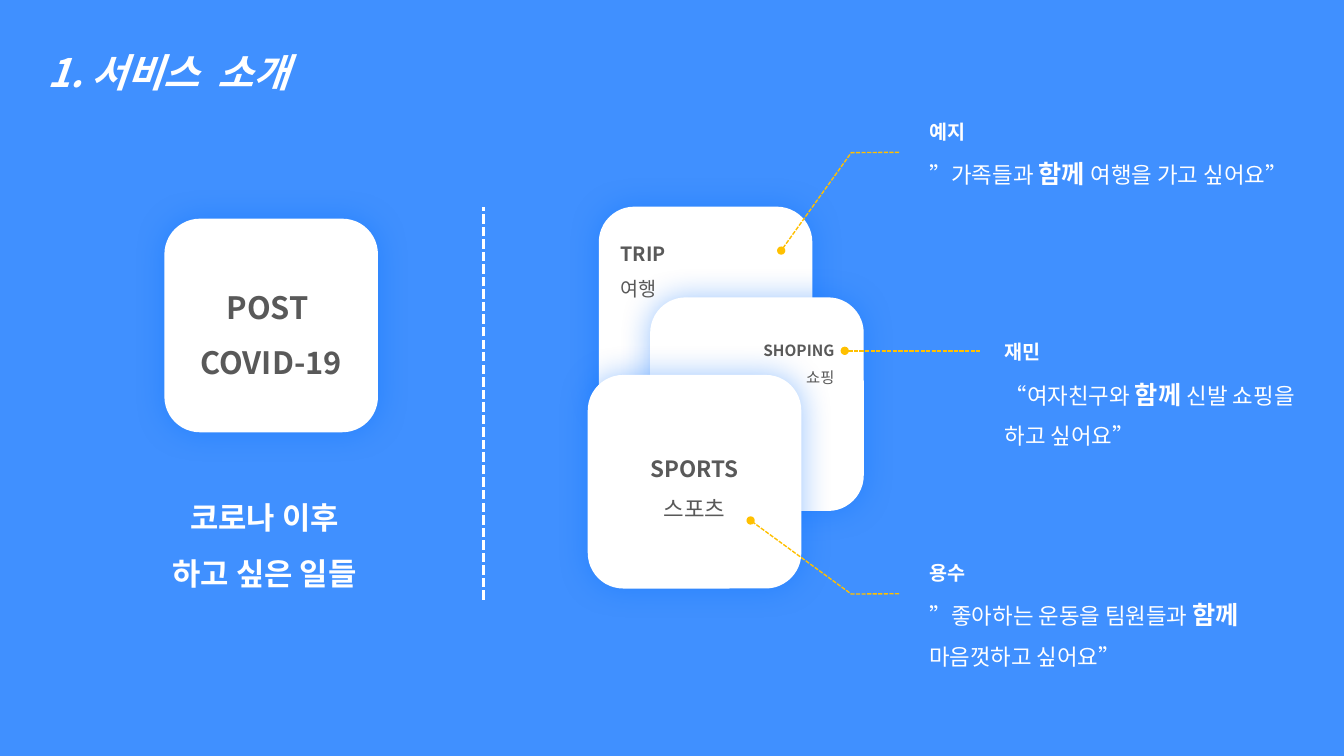
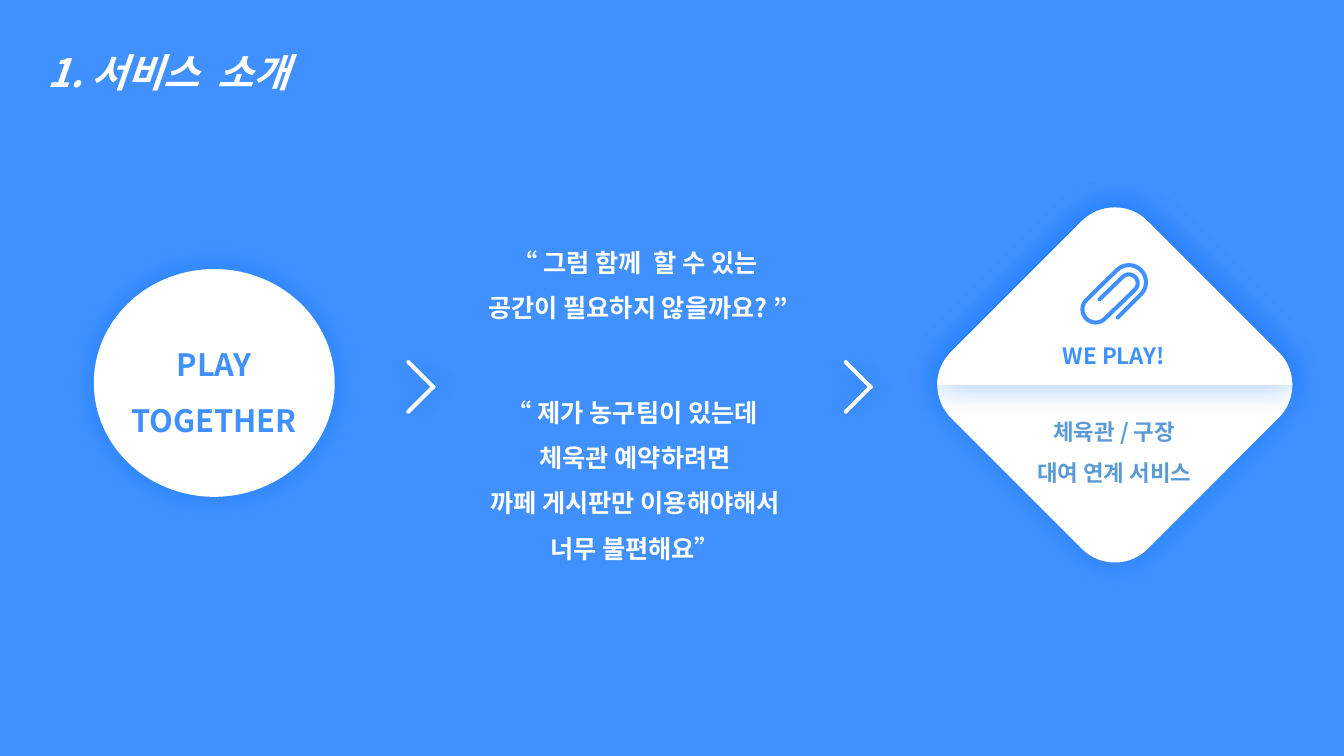
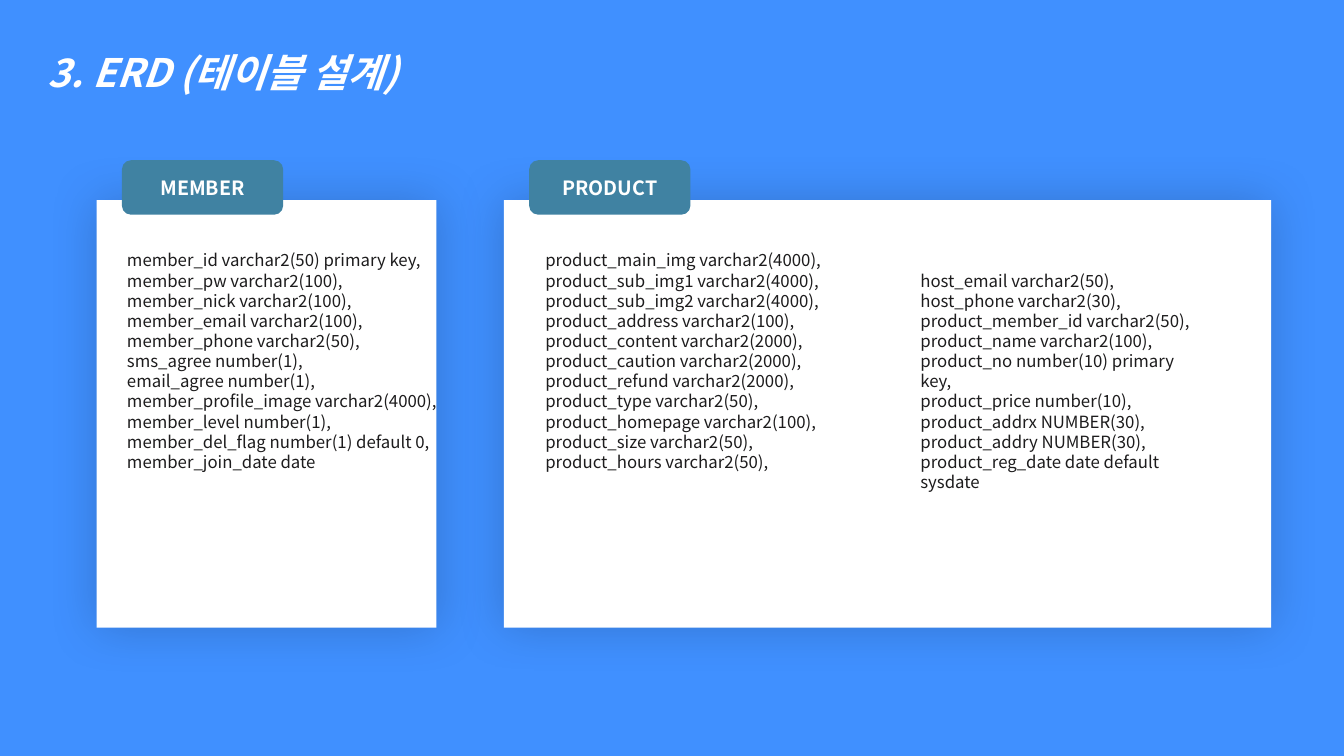
"""Build three slides that introduce a sports venue service and its table design."""
from dataclasses import dataclass
from math import cos, radians, sin

from lxml.etree import SubElement
from pptx import Presentation
from pptx.dml.color import RGBColor
from pptx.enum.dml import MSO_LINE
from pptx.enum.shapes import MSO_CONNECTOR, MSO_SHAPE
from pptx.enum.text import MSO_ANCHOR, MSO_AUTO_SIZE, PP_ALIGN
from pptx.oxml.ns import qn
from pptx.util import Pt


@dataclass(frozen=True)
class Theme:
    """Colours, type sizes and shadows shared by the slides."""
    font: str = "Noto Sans CJK KR"
    blue: str = "4090FF"
    white: str = "FFFFFF"
    gray: str = "595959"
    pale_blue: str = "5B9BD5"
    teal: str = "4082A2"
    ink: str = "1D1C1D"
    amber: str = "FFC000"
    title: int = 28
    heading: int = 22
    statement: int = 18
    body: int = 16
    label: int = 14
    field: int = 12
    small: int = 11
    glow: tuple = ("006DFE", 40, 23)
    shade: tuple = ("000000", 18, 35)


THEME = Theme()
TITLE_BOX = (26.6, 14.4, 349.2, 97.9)
CARD_SIZE = 152.6
TITLE_ONLY, COMPARISON = 5, 3 + 1
LOOSE = 1.5

MEMBER_FIELDS = [
    "member_id varchar2(50) primary key,", "member_pw varchar2(100),",
    "member_nick varchar2(100),", "member_email varchar2(100),",
    "member_phone varchar2(50),", "sms_agree number(1),",
    "email_agree number(1),", "member_profile_image varchar2(4000),",
    "member_level number(1),", "member_del_flag number(1) default 0,",
    "member_join_date date",
]
PRODUCT_FIELDS = [
    "product_main_img varchar2(4000),", "product_sub_img1 varchar2(4000),",
    "product_sub_img2 varchar2(4000),", "product_address varchar2(100),",
    "product_content varchar2(2000),", "product_caution varchar2(2000),",
    "product_refund varchar2(2000),", "product_type varchar2(50),",
    "product_homepage varchar2(100),", "product_size varchar2(50),",
    "product_hours varchar2(50),",
]
HOST_FIELDS = [
    "host_email varchar2(50),", "host_phone varchar2(30),",
    "product_member_id varchar2(50),", "product_name varchar2(100),",
    "product_no number(10) primary key,", "product_price number(10),",
    "product_addrx NUMBER(30),", "product_addry NUMBER(30),",
    "product_reg_date date default sysdate",
]


def set_attributes(target, values):
    """Set each named value on the target."""
    for name, value in values.items():
        setattr(target, name, value)


def place(shape, box):
    """Move and size a shape to a box in points."""
    set_attributes(shape, dict(zip(("left", "top", "width", "height"), map(Pt, box))))


def strong(text, size):
    """Return a bold run."""
    return text, {"size": Pt(size), "bold": True}


def plain(text, size):
    """Return a regular run."""
    return text, {"size": Pt(size), "bold": False}


def strong_lines(lines, size):
    """Return one bold paragraph for each line."""
    return [[strong(line, size)] for line in lines]


def write(shape, paragraphs, color, alignment=PP_ALIGN.LEFT, spacing=LOOSE,
          anchor=MSO_ANCHOR.TOP, wrap=True, italic=False):
    """Fill a shape with paragraphs made of formatted runs."""
    frame = shape.text_frame
    set_attributes(frame, {"word_wrap": wrap, "vertical_anchor": anchor,
                           "auto_size": MSO_AUTO_SIZE.NONE})
    for index, runs in enumerate(paragraphs):
        paragraph = frame.add_paragraph() if index else frame.paragraphs[0]
        set_attributes(paragraph, {"alignment": alignment, "line_spacing": spacing,
                                   "space_before": Pt(0)})
        for text, values in runs:
            run = paragraph.add_run()
            run.text = text
            set_attributes(run.font, {**values, "name": THEME.font, "italic": italic})
            run.font.color.rgb = RGBColor.from_string(color)
            SubElement(run.font._element, qn("a:ea"), typeface=THEME.font)


def add_text(slide, box, paragraphs, color, alignment=PP_ALIGN.LEFT):
    """Add a wrapping text box."""
    text_box = slide.shapes.add_textbox(*map(Pt, box))
    write(text_box, paragraphs, color, alignment)


def paint(shape, color, shadow=None):
    """Give a shape a plain fill, no outline and an optional soft shadow."""
    shape.fill.solid()
    shape.fill.fore_color.rgb = RGBColor.from_string(color)
    shape.line.fill.background()
    shape.shadow.inherit = False
    if shadow:
        shadow_color, opacity, blur = shadow
        effects = shape.element.spPr.find(qn("a:effectLst"))
        outer = SubElement(effects, qn("a:outerShdw"), blurRad=str(Pt(blur)),
                           dist="0", dir="0", algn="ctr", rotWithShape="0")
        tint = SubElement(outer, qn("a:srgbClr"), val=shadow_color)
        SubElement(tint, qn("a:alpha"), val=str(opacity * 1000))


def add_block(slide, kind, box, color=THEME.white, shadow=THEME.glow, rotation=0):
    """Add a filled preset shape."""
    shape = slide.shapes.add_shape(kind, *map(Pt, box))
    shape.rotation = rotation
    paint(shape, color, shadow)
    return shape


def add_card(slide, left, top):
    """Add a rounded square card."""
    return add_block(slide, MSO_SHAPE.ROUNDED_RECTANGLE, (left, top, CARD_SIZE, CARD_SIZE))


def style_dashes(shape, color, width, dot_end=None):
    """Draw a shape's line dashed, with an optional dot at one end."""
    set_attributes(shape.line, {"width": Pt(width), "dash_style": MSO_LINE.SQUARE_DOT})
    shape.line.color.rgb = RGBColor.from_string(color)
    if dot_end:
        SubElement(shape.element.spPr.get_or_add_ln(), qn(f"a:{dot_end}"), type="oval")


def add_dashed_line(slide, start, end, color, width, dot_end=None):
    """Add a straight dashed connector."""
    connector = slide.shapes.add_connector(MSO_CONNECTOR.STRAIGHT, *map(Pt, start + end))
    style_dashes(connector, color, width, dot_end)
    SubElement(connector.element.spPr, qn("a:effectLst"))


def add_leader(slide, top, target):
    """Add a bent dashed leader that ends in a dot."""
    leader = slide.shapes.add_shape(MSO_SHAPE.LINE_CALLOUT_2_NO_BORDER,
                                    *map(Pt, (625.7, top, 77, 28.1)))
    for index, value in enumerate((-0.564, 0.215, -0.555, -0.229) + target):
        leader.adjustments[index] = value
    leader.fill.background()
    style_dashes(leader, THEME.amber, 1, "tailEnd")
    leader.shadow.inherit = False


def arc(center_x, center_y, radius, start, end, steps=16):
    """Return points along an arc, with angles in degrees."""
    angles = [radians(start + (end - start) * step / steps) for step in range(steps + 1)]
    return [(center_x + radius * cos(angle), center_y + radius * sin(angle))
            for angle in angles]


def add_outline(slide, points, close):
    """Add a freeform through points."""
    corners = [(Pt(x), Pt(y)) for x, y in points]
    builder = slide.shapes.build_freeform(*corners[0])
    builder.add_line_segments(corners[1:], close=close)
    return builder.convert_to_shape()


def add_paperclip(slide):
    """Add a paperclip icon drawn as one thick rounded line."""
    points = [(798.5, 226.8), *arc(806.4, 201.6, 12.2, 45, -135),
              *arc(782.6, 221, 9.4, 225, 45), *arc(806.4, 202.3, 6.3, 45, -135),
              (785.5, 213.8)]
    clip = add_outline(slide, points, False)
    clip.fill.background()
    clip.line.width = Pt(2.9)
    clip.line.color.rgb = RGBColor.from_string(THEME.blue)
    clip.element.spPr.get_or_add_ln().set("cap", "rnd")
    clip.shadow.inherit = False


def add_diamond(slide):
    """Add a rounded diamond whose upper half lies over the lower one."""
    center_x, center_y, side, radius, reach = 796.3, 275, 198.7, 33.1, 93.7
    add_block(slide, MSO_SHAPE.ROUNDED_RECTANGLE,
              (center_x - side / 2, center_y - side / 2, side, side), rotation=45)
    points = [*arc(center_x - reach, center_y, radius, 180, 225),
              *arc(center_x, center_y - reach, radius, 225, 315),
              *arc(center_x + reach, center_y, radius, 315, 360)]
    paint(add_outline(slide, points, True), THEME.white, THEME.glow)


def add_chevron(slide, left):
    """Add a chevron made of two rotated bars."""
    for top, rotation in ((266.2, 45), (283.7, 315)):
        bar = add_block(slide, MSO_SHAPE.ROUNDED_RECTANGLE, (left, top, 28.1, 2.9),
                        rotation=rotation)
        bar.adjustments[0] = 0.5


def add_panel(slide, left, width, name):
    """Add a white panel with a name tag on its top edge."""
    add_block(slide, MSO_SHAPE.RECTANGLE, (left, 143, width, 305.3), shadow=THEME.shade)
    tag = add_block(slide, MSO_SHAPE.ROUNDED_RECTANGLE, (left + 18, 114.5, 115.2, 38.9),
                    THEME.teal, None)
    write(tag, [[strong(name, THEME.label)]], THEME.white, PP_ALIGN.CENTER, 1,
          MSO_ANCHOR.MIDDLE)


def add_field_list(placeholder, box, fields):
    """Place a list of table fields in a body placeholder above the panels."""
    element = placeholder.element
    element.getparent().append(element)
    place(placeholder, box)
    write(placeholder, [[plain(field, THEME.field)] for field in fields], THEME.ink,
          spacing=1)
    for paragraph in placeholder.text_frame.paragraphs:
        properties = paragraph._p.get_or_add_pPr()
        properties.set("marL", "0")
        properties.set("indent", "0")
        SubElement(properties, qn("a:buNone"))


def add_titled_slide(presentation, layout, title):
    """Add a slide with the shared title style."""
    slide = presentation.slides.add_slide(presentation.slide_layouts[layout])
    place(slide.shapes.title, TITLE_BOX)
    write(slide.shapes.title, [[strong(title, THEME.title)]], THEME.white, italic=True)
    return slide


def build_wishes(presentation):
    """Show what people want to do after the pandemic."""
    slide = add_titled_slide(presentation, TITLE_ONLY, "1. 서비스  소개")
    centered = {"alignment": PP_ALIGN.CENTER, "anchor": MSO_ANCHOR.MIDDLE, "wrap": False}
    write(add_card(slide, 117.4, 156.2), strong_lines(["POST ", "COVID-19"], THEME.heading),
          THEME.gray, **centered)
    add_card(slide, 427.7, 147.6)
    add_card(slide, 464.4, 212.4)
    write(add_card(slide, 419.8, 267.8),
          [[strong("SPORTS", THEME.body)], [plain("스포츠", THEME.body)]],
          THEME.gray, **centered)
    add_text(slide, (512.6, 233.3, 90.7, 47.5),
             [[strong("SHOPING", THEME.small)], [plain("쇼핑", THEME.small)]],
             THEME.gray, PP_ALIGN.RIGHT)
    add_text(slide, (436.3, 160.6, 136.1, 58.3),
             [[strong("TRIP", THEME.label)], [plain("여행", THEME.label)]], THEME.gray)
    quotes = [
        ((656.6, 73.4, 277.9, 65.5), "예지", "”가족들과 ", "여행을 가고 싶어요”"),
        ((710.6, 231.1, 232.6, 94.3), "재민", "“여자친구와 ", "신발 쇼핑을 하고 싶어요”"),
        ((656.6, 388.8, 283, 94.3), "용수", "”좋아하는 운동을 팀원들과 ", "마음껏하고 싶어요”"),
    ]
    for box, name, opening, closing in quotes:
        add_text(slide, box, [[strong(name, THEME.label)],
                              [plain(opening, THEME.body), strong("함께 ", THEME.statement),
                               plain(closing, THEME.body)]], THEME.white)
    add_leader(slide, 124.6, (1.936, -0.879))
    add_leader(slide, 439.9, (-2.426, -1.163))
    add_dashed_line(slide, (603.4, 250.6), (699.8, 250.6), THEME.amber, 1, "headEnd")
    add_text(slide, (101.5, 339.8, 175, 103.7),
             strong_lines(["코로나 이후", "하고 싶은 일들"], THEME.heading),
             THEME.white, PP_ALIGN.CENTER)
    add_dashed_line(slide, (345.6, 428.4), (345.6, 147.6), THEME.white, 2.25)


def build_service(presentation):
    """Lead from playing together to the rental service."""
    slide = add_titled_slide(presentation, TITLE_ONLY, "1. 서비스  소개")
    add_diamond(slide)
    add_paperclip(slide)
    circle = add_block(slide, MSO_SHAPE.OVAL, (67, 192.2, 172.1, 162.7))
    write(circle, strong_lines(["PLAY", "TOGETHER"], THEME.heading), THEME.blue,
          PP_ALIGN.CENTER, anchor=MSO_ANCHOR.MIDDLE, wrap=False)
    for left in (286.6, 599):
        add_chevron(slide, left)
    statements = [
        ((696.2, 285.8, 199.4, 65.5), THEME.body, THEME.pale_blue,
         ["체육관 / 구장", "대여 연계 서비스"]),
        ((751.7, 231.1, 87.8, 36), THEME.body, THEME.blue, ["WE PLAY!"]),
        ((144.7, 162, 622.1, 89.3), THEME.statement, THEME.white,
         ["“ 그럼 함께  할 수 있는 ", "공간이 필요하지 않을까요? ”"]),
        ((142.6, 269.3, 622.1, 154.1), THEME.statement, THEME.white,
         ["“ 제가 농구팀이 있는데 ", "체욱관 예약하려면", "까페 게시판만 이용해야해서",
          "너무 불편해요”"]),
    ]
    for box, size, color, lines in statements:
        add_text(slide, box, strong_lines(lines, size), color, PP_ALIGN.CENTER)


def build_tables(presentation):
    """List the fields of the member and product tables."""
    slide = add_titled_slide(presentation, COMPARISON, "3. ERD (테이블 설계)")
    add_panel(slide, 69.1, 242.6, "MEMBER")
    add_panel(slide, 360, 547.9, "PRODUCT")
    bodies = [shape for shape in slide.placeholders if shape.placeholder_format.idx]
    lists = [((83.5, 175, 247, 247), MEMBER_FIELDS),
             ((382.3, 175, 218.9, 247), PRODUCT_FIELDS),
             ((650.2, 189.4, 218.9, 247), HOST_FIELDS)]
    for body, (box, fields) in zip(bodies, lists):
        add_field_list(body, box, fields)
    for unused in bodies[len(lists):]:
        unused.element.getparent().remove(unused.element)


def main():
    """Build and save the presentation."""
    presentation = Presentation()
    set_attributes(presentation, {"slide_width": Pt(960), "slide_height": Pt(540)})
    background = presentation.slide_master.background.fill
    background.solid()
    background.fore_color.rgb = RGBColor.from_string(THEME.blue)
    for build in (build_wishes, build_service, build_tables):
        build(presentation)
    presentation.save("out.pptx")


main()
